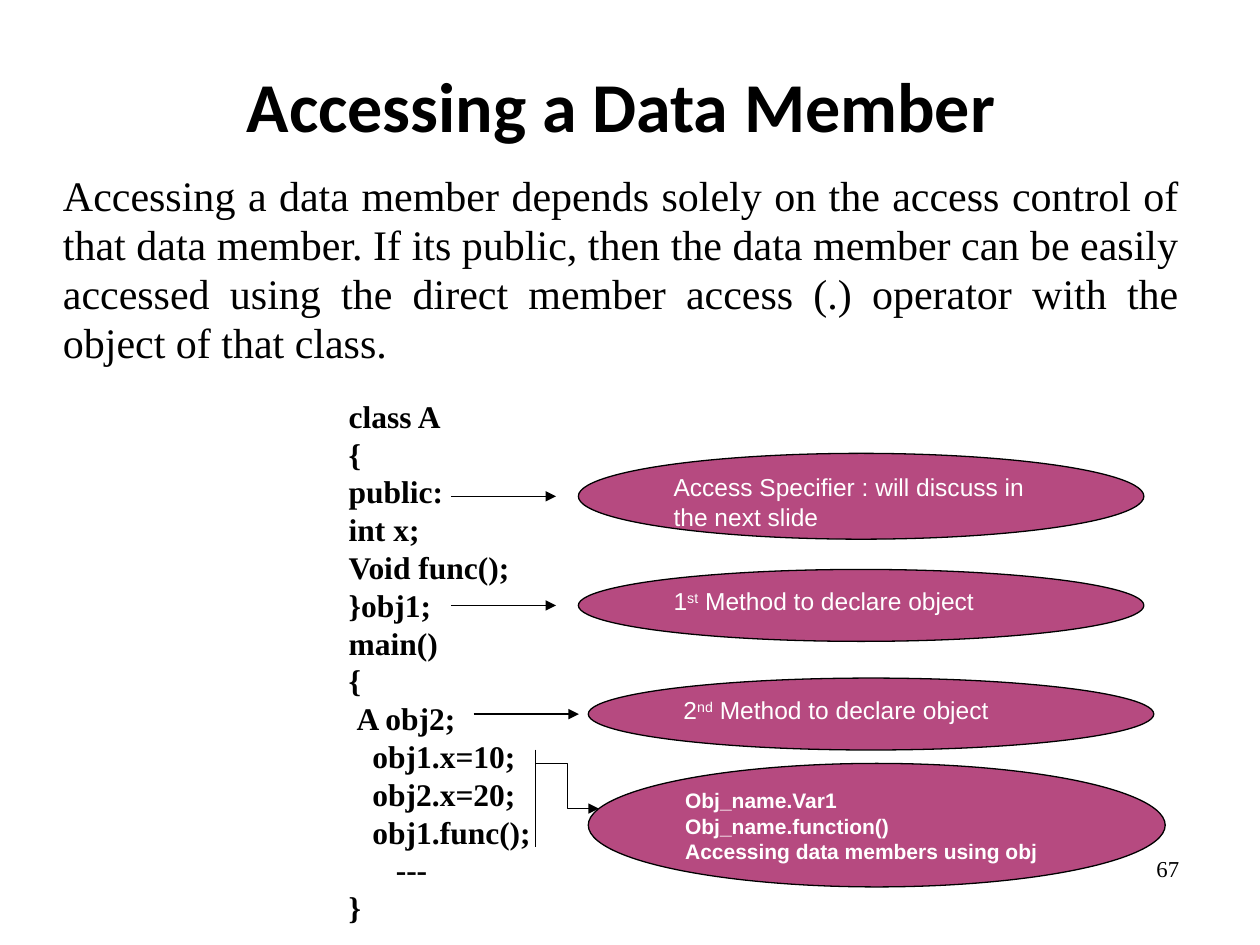
import pptx
import pptx.util
import pptx.dml.color
import pptx.enum.shapes
import pptx.enum.text
from dataclasses import dataclass
from lxml import etree
from pptx.oxml.ns import qn

Cm = pptx.util.Cm
Pt = pptx.util.Pt
Align = pptx.enum.text.PP_ALIGN
Anchor = pptx.enum.text.MSO_ANCHOR
Connector = pptx.enum.shapes.MSO_CONNECTOR


@dataclass(frozen=True)
class Theme:
    ink: str = "000000"
    paper: str = "FFFFFF"
    callout: str = "B64A80"
    line: float = 0.75
    heading: tuple = ("Calibri", 40, True)
    body: tuple = ("Times New Roman", 24, False)
    code: tuple = ("Times New Roman", 18, True)
    note: tuple = ("Arial", 14, False)
    strong_note: tuple = ("Arial", 12, True)
    number: tuple = ("Times New Roman", 13, False)


theme = Theme()
rgb = pptx.dml.color.RGBColor.from_string


def write(shape, paragraphs, style, color, align=Align.LEFT, spacing=None,
          insets=(0.25, 0.13, 0.25, 0.13), anchor=Anchor.TOP):
    """Fill a shape; a paragraph is (indent in cm, runs), and a run is (text, raised)."""
    frame = shape.text_frame
    frame.word_wrap = True
    frame.vertical_anchor = anchor
    frame.margin_left, frame.margin_top, frame.margin_right, frame.margin_bottom = map(Cm, insets)
    for index, (indent, runs) in enumerate(paragraphs):
        para = frame.add_paragraph() if index else frame.paragraphs[0]
        para.alignment = align
        if spacing:
            para.line_spacing = spacing
        if indent:
            para._p.get_or_add_pPr().set("marL", str(Cm(indent)))
        for text, raised in runs:
            span = para.add_run()
            span.text = text
            span.font.name, size, span.font.bold = style
            span.font.size = Pt(size)
            span.font.color.rgb = rgb(color)
            if raised:
                span.font._element.set("baseline", "30000")


def connect(kind, start, end, arrow=True):
    connector = page.shapes.add_connector(kind, *map(Cm, start + end))
    connector.line.color.rgb = rgb(theme.ink)
    connector.line.width = Pt(theme.line)
    if arrow:
        outline = connector.line._get_or_add_ln()
        etree.SubElement(outline, qn("a:tailEnd"), type="triangle")
    etree.SubElement(connector._element.spPr, qn("a:effectLst"))


deck = pptx.Presentation()
deck.slide_width, deck.slide_height = Cm(25.4), Cm(19.05)
page = deck.slides.add_slide(deck.slide_layouts[6])

# Title, explanation and page number
title = page.shapes.add_textbox(Cm(1.27), Cm(0.76), Cm(22.5), Cm(2.84))
write(title, [(0, [("Accessing a Data Member", False)])], theme.heading, theme.ink,
      Align.CENTER, 0.97, anchor=Anchor.MIDDLE)

explanation = page.shapes.add_textbox(Cm(1.27), Cm(3.05), Cm(22.5), Cm(4.37))
sentence = (
    "Accessing a data member depends solely on the access control of that data member. "
    "If its public, then the data member can be easily accessed using the direct member "
    "access (.) operator with the object of that class."
)
write(explanation, [(0, [(sentence, False)])], theme.body, theme.ink,
      Align.JUSTIFY, 0.97, (0, 0.43, 0, 0))

number = page.shapes.add_textbox(Cm(18.21), Cm(17.35), Cm(5.56), Cm(0.97))
write(number, [(0, [("67", False)])], theme.number, theme.ink,
      Align.RIGHT, 0.78, (0, 0, 0, 0))

# Code listing: (indent in cm, text)
code_lines = [
    (0, "class A"), (0, "{"), (0, "public:"), (0, "int x;"), (0, "Void func();"),
    (0, "}obj1;"), (0, "main()"), (0, "{"), (0.16, "A obj2;"), (0.48, "obj1.x=10;"),
    (0.48, "obj2.x=20;"), (0.48, "obj1.func();"), (0.95, "---"), (0, "}"),
]
code = page.shapes.add_textbox(Cm(6.78), Cm(7.87), Cm(5.92), Cm(11.02))
write(code, [(indent, [(text, False)]) for indent, text in code_lines], theme.code, theme.ink)

# Callouts: box, style, lines of runs, start of the straight arrow
callouts = [
    ((11.66, 9.14, 11.4, 1.73), theme.note,
     [[("Access Specifier : will discuss in the next slide", False)]], 9.09),
    ((11.66, 11.48, 11.4, 1.45), theme.note,
     [[("1", False), ("st", True), (" Method to declare object", False)]], 9.09),
    ((11.86, 13.67, 11.4, 1.45), theme.note,
     [[("2", False), ("nd", True), (" Method to declare object", False)]], 9.55),
    ((11.86, 15.39, 11.63, 2.49), theme.strong_note,
     [[("Obj_name.Var1", False)], [("Obj_name.function()", False)],
      [("Accessing data members using obj", False)]], None),
]
arrow_length = 2.12
for (left, top, width, height), style, lines, arrow_start in callouts:
    callout = page.shapes.add_shape(pptx.enum.shapes.MSO_SHAPE.OVAL,
                                    Cm(left), Cm(top), Cm(width), Cm(height))
    callout.shadow.inherit = False
    callout.fill.solid()
    callout.fill.fore_color.rgb = rgb(theme.callout)
    callout.line.color.rgb = rgb(theme.ink)
    callout.line.width = Pt(theme.line)
    write(callout, [(0, runs) for runs in lines], style, theme.paper)
    if arrow_start:
        middle = top + height / 2
        connect(Connector.STRAIGHT, (arrow_start, middle), (arrow_start + arrow_length, middle))

# Bracket beside the member accesses and its bent arrow
bracket_x = 10.8
connect(Connector.ELBOW, (bracket_x, 15.39), (bracket_x + 1.27, 16.3))
connect(Connector.STRAIGHT, (bracket_x, 15.11), (bracket_x, 17.07), arrow=False)

deck.save("out.pptx")
